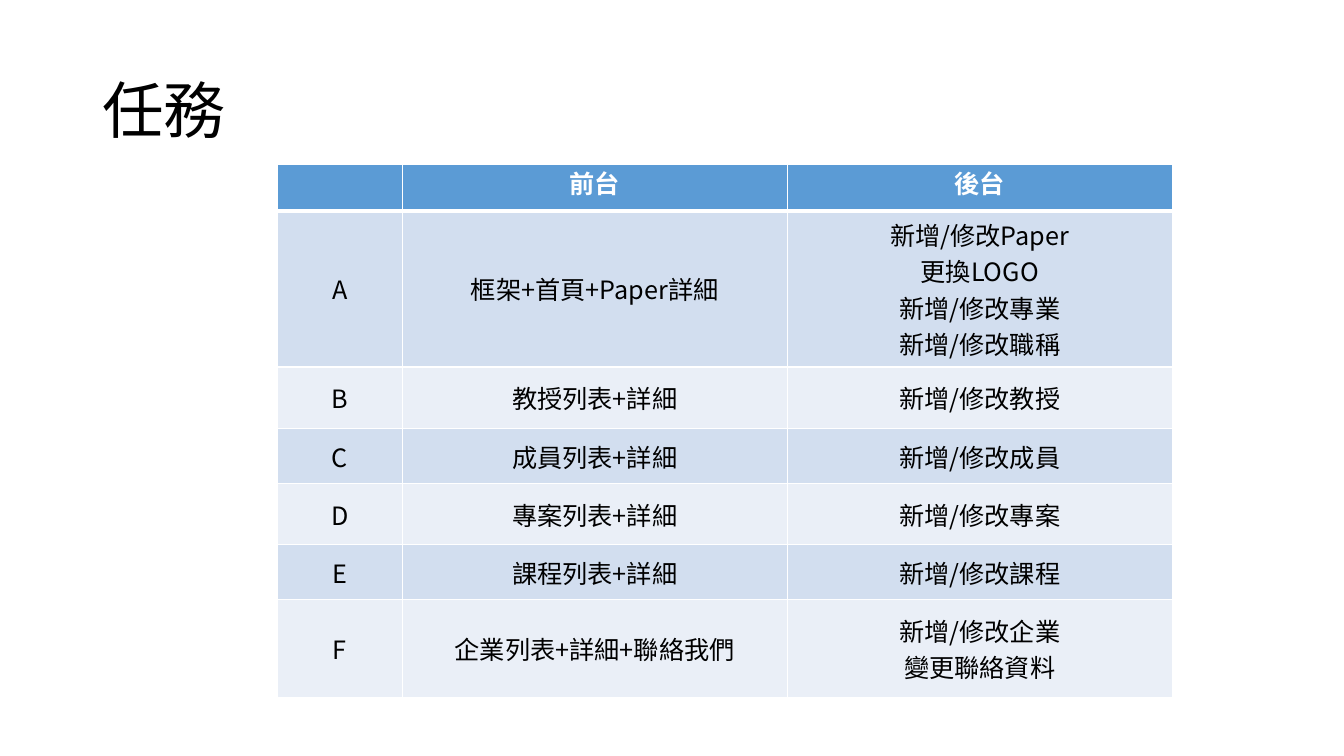
from lxml import etree
from pptx import Presentation
from pptx.dml.color import RGBColor
from pptx.enum.text import MSO_ANCHOR as Anchor, PP_ALIGN as Align
from pptx.oxml.ns import qn
from pptx.util import Pt

WHITE = RGBColor(0xFF, 0xFF, 0xFF)
BLACK = RGBColor(0x00, 0x00, 0x00)
HEADER_BLUE = RGBColor(0x5B, 0x9B, 0xD5)
BANDS = [RGBColor(0xD2, 0xDE, 0xEF), RGBColor(0xEA, 0xEF, 0xF7)]

COLUMN_WIDTHS = [89, 275, 275]
ROW_HEIGHTS = [33, 111.5, 43.9, 39.6, 43.2, 39.6, 69.8]
TASKS = [
    ["", "前台", "後台"],
    ["A", "框架+首頁+Paper詳細", "新增/修改Paper\n更換LOGO\n新增/修改專業\n新增/修改職稱"],
    ["B", "教授列表+詳細", "新增/修改教授"],
    ["C", "成員列表+詳細", "新增/修改成員"],
    ["D", "專案列表+詳細", "新增/修改專案"],
    ["E", "課程列表+詳細", "新增/修改課程"],
    ["F", "企業列表+詳細+聯絡我們", "新增/修改企業\n變更聯絡資料"],
]


class SlideBuilder:
    header_font = "Calibri"
    body_font = "Noto Sans CJK SC"
    cell_size = 18

    def __init__(self, slide):
        self.slide = slide

    def add_run(self, paragraph, text, size, color, font_name, bold=False):
        run = paragraph.add_run()
        run.text = text
        font = run.font
        font.name, font.size, font.bold = font_name, Pt(size), bold
        font.color.rgb = color
        east_asian = etree.Element(qn("a:ea"), typeface=font_name)
        run._r.rPr.find(qn("a:latin")).addnext(east_asian)

    def add_title(self, text, left, top, width, height):
        box = self.slide.shapes.add_textbox(Pt(left), Pt(top), Pt(width), Pt(height))
        frame = box.text_frame
        frame.word_wrap = True
        frame.vertical_anchor = Anchor.MIDDLE
        paragraph = frame.paragraphs[0]
        paragraph.line_spacing = 0.9
        self.add_run(paragraph, text, 44, BLACK, self.body_font)

    def set_borders(self, cell, top, bottom):
        """Draw white cell borders; top and bottom are widths in points."""
        widths = {"a:lnL": 1, "a:lnR": 1, "a:lnT": top, "a:lnB": bottom}
        properties = cell._tc.get_or_add_tcPr()
        for index, (tag, width) in enumerate(widths.items()):
            line = etree.Element(qn(tag), w=str(Pt(width)))
            fill = etree.SubElement(line, qn("a:solidFill"))
            etree.SubElement(fill, qn("a:srgbClr"), val=str(WHITE))
            properties.insert(index, line)

    def fill_cell(self, cell, text, row_index):
        is_header = row_index == 0
        cell.fill.solid()
        cell.fill.fore_color.rgb = HEADER_BLUE if is_header else BANDS[(row_index - 1) % 2]
        cell.vertical_anchor = Anchor.TOP if is_header else Anchor.MIDDLE
        self.set_borders(cell, top=3 if row_index == 1 else 1, bottom=3 if is_header else 1)
        frame = cell.text_frame
        for index, line in enumerate(text.split("\n")):
            paragraph = frame.add_paragraph() if index else frame.paragraphs[0]
            paragraph.alignment = Align.CENTER
            if not line:
                paragraph.font.size = Pt(self.cell_size)
            elif is_header:
                self.add_run(paragraph, line, self.cell_size, WHITE, self.header_font, bold=True)
            else:
                self.add_run(paragraph, line, self.cell_size, BLACK, self.body_font)

    def add_table(self, rows, left, top, column_widths, row_heights):
        table = self.slide.shapes.add_table(
            len(rows), len(column_widths), Pt(left), Pt(top),
            Pt(sum(column_widths)), Pt(sum(row_heights))).table
        for column, width in zip(table.columns, column_widths):
            column.width = Pt(width)
        for row_index, (row, height, texts) in enumerate(zip(table.rows, row_heights, rows)):
            row.height = Pt(height)
            for cell, text in zip(row.cells, texts):
                self.fill_cell(cell, text, row_index)


def main():
    presentation = Presentation()
    presentation.slide_width, presentation.slide_height = Pt(960), Pt(540)
    builder = SlideBuilder(presentation.slides.add_slide(presentation.slide_layouts[6]))
    builder.add_title("任務", 66, 28.75, 828, 104.4)
    builder.add_table(TASKS, 198.3, 117.6, COLUMN_WIDTHS, ROW_HEIGHTS)
    presentation.save("out.pptx")


if __name__ == "__main__":
    main()
